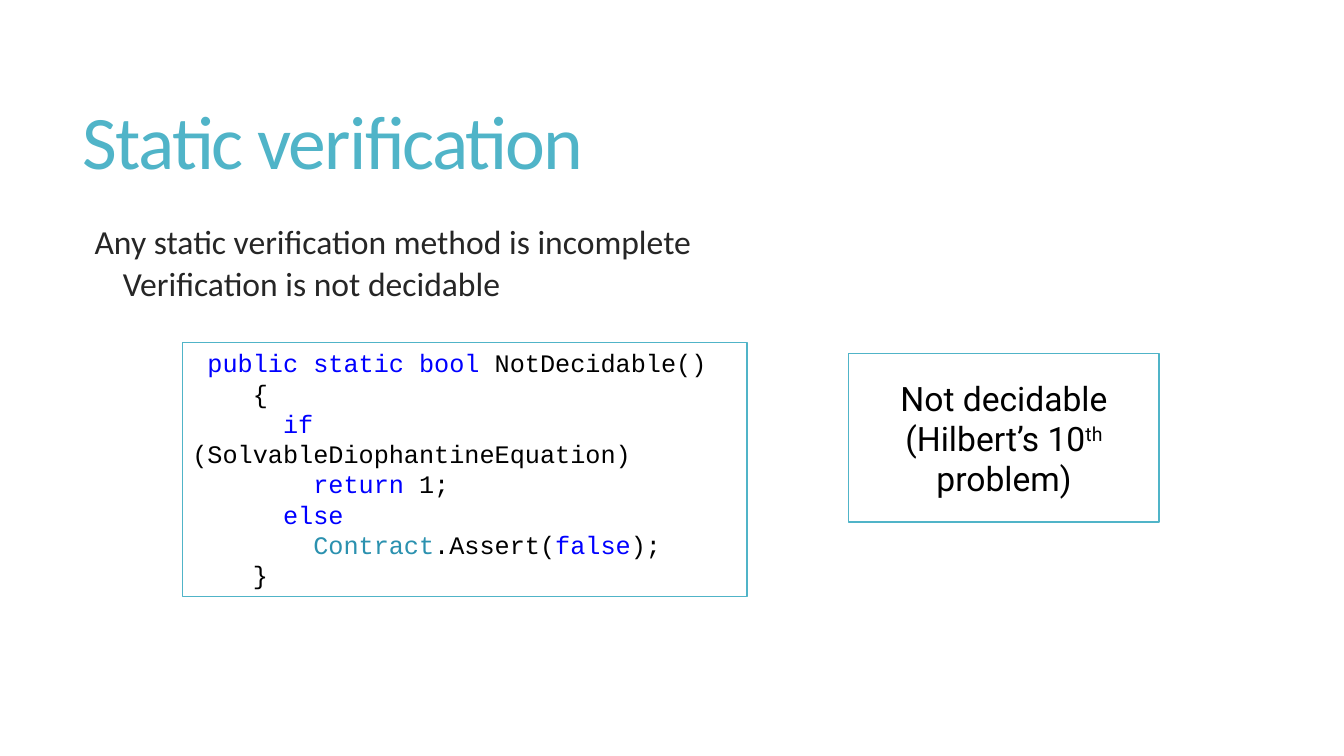
"""Build the slide on the limits of static verification."""
from pptx import Presentation
from pptx.dml.color import RGBColor
from pptx.enum import shapes, text
from pptx.util import Pt

COLOURS = {
    "accent": "50B4C8",
    "body": "262626",
    "black": "000000",
    "white": "FFFFFF",
    "keyword": "0000FF",
    "type": "2B91AF",
}

CODE = [
    [(" ", "black"), ("public static bool ", "keyword"), ("NotDecidable()", "black")],
    [("    {", "black")],
    [("      ", "black"), ("if", "keyword"), (" (SolvableDiophantineEquation)", "black")],
    [("        ", "black"), ("return", "keyword"), (" 1;", "black")],
    [("      ", "black"), ("else", "keyword")],
    [("        ", "black"), ("Contract", "type"), (".Assert(", "black"),
     ("false", "keyword"), (");", "black")],
    [("    }", "black")],
]


def colour(name):
    return RGBColor.from_string(COLOURS[name])


def add_run(paragraph, words, font, size, colour_name):
    run = paragraph.add_run()
    run.text = words
    run.font.name = font
    run.font.size = Pt(size)
    run.font.color.rgb = colour(colour_name)
    return run


def prepare_frame(shape, anchor):
    frame = shape.text_frame
    frame.word_wrap = True
    frame.vertical_anchor = anchor
    return frame


def add_text_box(slide, left, top, width, height, anchor=text.MSO_ANCHOR.TOP):
    shape = slide.shapes.add_textbox(Pt(left), Pt(top), Pt(width), Pt(height))
    return prepare_frame(shape, anchor)


def add_panel(slide, left, top, width, height, anchor=text.MSO_ANCHOR.TOP):
    shape = slide.shapes.add_shape(
        shapes.MSO_SHAPE.RECTANGLE, Pt(left), Pt(top), Pt(width), Pt(height))
    shape.shadow.inherit = False
    shape.fill.solid()
    shape.fill.fore_color.rgb = colour("white")
    shape.line.color.rgb = colour("accent")
    shape.line.width = Pt(1)
    return prepare_frame(shape, anchor)


def add_paragraph(frame, index, alignment=text.PP_ALIGN.LEFT, spacing=1.0):
    paragraph = frame.add_paragraph() if index else frame.paragraphs[0]
    paragraph.alignment = alignment
    paragraph.line_spacing = spacing
    return paragraph


def add_title(slide):
    frame = add_text_box(slide, 51.84, 39.6, 848.16, 130.32, text.MSO_ANCHOR.MIDDLE)
    paragraph = add_paragraph(frame, 0, spacing=0.85)
    run = add_run(paragraph, "Static verification", "Calibri", 54, "accent")
    run.font._element.set("spc", "-120")


def add_claims(slide):
    frame = add_text_box(slide, 53.28, 158.4, 846.72, 296.64)
    claims = [("Any static verification method is incomplete", 7.2),
              ("Verification is not decidable", 27.36)]
    for level, (claim, margin) in enumerate(claims):
        paragraph = add_paragraph(frame, level, spacing=0.85)
        paragraph.level = level
        paragraph.space_before = Pt(6 * level)
        paragraph._p.get_or_add_pPr().set("marL", str(Pt(margin)))
        add_run(paragraph, claim, "Calibri", 24, "body")


def add_code(slide):
    frame = add_panel(slide, 130.32, 244.8, 403.2, 181.44)
    for index, line in enumerate(CODE):
        paragraph = add_paragraph(frame, index)
        for words, colour_name in line:
            add_run(paragraph, words, "Courier New", 18, colour_name)


def add_remark(slide):
    frame = add_panel(slide, 606.24, 252.72, 221.76, 120.24, text.MSO_ANCHOR.MIDDLE)
    paragraph = add_paragraph(frame, 0, text.PP_ALIGN.CENTER)
    add_run(paragraph, "Not decidable (Hilbert’s 10", "Roboto", 24, "black")
    ordinal = add_run(paragraph, "th", "Roboto", 24, "black")
    ordinal.font._element.set("baseline", "30000")
    add_run(paragraph, " problem)", "Roboto", 24, "black")


def main():
    presentation = Presentation()
    presentation.slide_width = Pt(960)
    presentation.slide_height = Pt(540)
    slide = presentation.slides.add_slide(presentation.slide_layouts[6])
    add_title(slide)
    add_claims(slide)
    add_code(slide)
    add_remark(slide)
    presentation.save("out.pptx")


if __name__ == "__main__":
    main()
